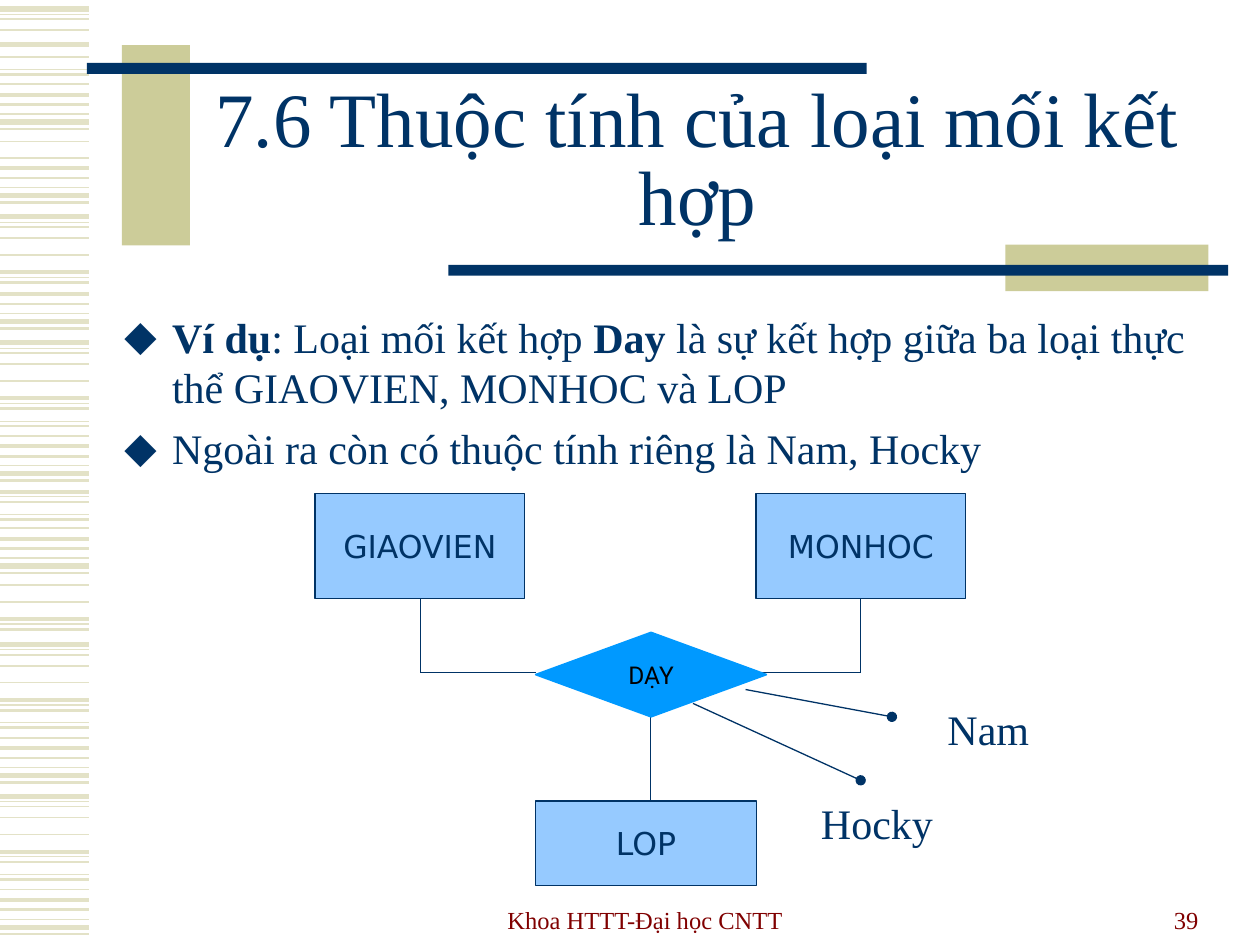
from lxml import etree
from pptx import Presentation
from pptx.dml.color import RGBColor
from pptx.enum import shapes, text
from pptx.oxml import ns
from pptx.util import Cm, Pt

THEME = {
    "navy": "003366", "khaki": "CCCC99", "stripe": "E3E2C7", "maroon": "800000",
    "entity": "96CAFF", "relation": "0099FF", "black": "000000",
    "serif": "Times New Roman", "sans": "DejaVu Sans", "label": "Roboto",
    "title": 44, "body": 24, "entity_size": 18, "small": 14,
}
CENTER, RIGHT = text.PP_ALIGN.CENTER, text.PP_ALIGN.RIGHT
MIDDLE, BOTTOM = text.MSO_ANCHOR.MIDDLE, text.MSO_ANCHOR.BOTTOM
FIT = text.MSO_AUTO_SIZE.SHAPE_TO_FIT_TEXT
RECT, DECISION = shapes.MSO_SHAPE.RECTANGLE, shapes.MSO_SHAPE.FLOWCHART_DECISION

TITLE = "7.6 Thuộc tính của loại mối kết hợp"
BULLETS = [
    [("Ví dụ", True), (": Loại mối kết hợp ", False), ("Day ", True),
     ("là sự kết hợp giữa ba loại thực thể GIAOVIEN, MONHOC và LOP", False)],
    [("Ngoài ra còn có thuộc tính riêng là Nam, Hocky", False)],
]
FOOTERS = [
    ("Khoa HTTT-Đại học CNTT", (8.71, 17.7, 8.59, 1.27), CENTER),
    ("39", (18.31, 17.7, 6.1, 1.27), RIGHT),
]
ENTITIES = [
    ("GIAOVIEN", (6.35, 9.95, 4.23, 2.12)),
    ("MONHOC", (15.24, 9.95, 4.23, 2.12)),
    ("LOP", (10.8, 16.15, 4.45, 1.7)),
]
RELATION = ("DẠY", (10.8, 12.75, 4.65, 1.7))
ATTRIBUTES = [
    ("Hocky", (16.3, 15.95, 2.77, 1.27), (13.97, 14.18, 17.35, 15.73)),
    ("Nam", (18.85, 14.05, 2.16, 1.27), (15.03, 13.9, 17.98, 14.45)),
]
LINKS = [
    (8.47, 12.07, 8.47, 13.55), (8.47, 13.55, 10.8, 13.55),
    (17.35, 12.07, 17.35, 13.55), (15.03, 13.55, 17.35, 13.55),
    (13.11, 14.45, 13.11, 16.15),
]
BARS = [
    ("khaki", (2.46, 0.91, 1.37, 4.04)), ("navy", (1.75, 1.27, 15.72, 0.22)),
    ("khaki", (20.27, 4.93, 4.09, 0.94)), ("navy", (9.04, 5.34, 15.72, 0.22)),
]
STRIPE_WIDTH = 1.8
LONG = [(0, 3), (0.11, 0.75), (0.21, 1), (0.43, 1), (0.77, 1), (1.12, 2.25),
        (1.22, 0.75), (1.33, 1.5), (1.58, 0.75), (1.68, 1.5)]
SHORT = [(0, 1), (0.21, 2.25), (0.41, 1.5), (0.6, 0.75), (0.76, 3), (0.9, 1.5)]
STRIPES = [
    (-0.18, LONG[7:]), (0.18, LONG[:4]), (2.08, LONG[4:5]), (4.37, LONG[:8]),
    (6.91, LONG), (8.79, LONG[5:]), (11.36, LONG[3:8]), (12.99, LONG), (16.05, LONG),
    (0.13, SHORT[4:5]), (1.7, SHORT), (3.18, SHORT), (5.72, SHORT[1:]),
    (8.79, SHORT), (10.65, SHORT), (14.87, SHORT), (17.93, SHORT),
]


def color(name):
    return RGBColor.from_string(THEME[name])


def apply(target, values):
    for name, value in values.items():
        setattr(target, name, value)


def add_line(page, ends, tint="navy", width=0.75, tail=None):
    line = page.shapes.add_connector(
        shapes.MSO_CONNECTOR.STRAIGHT, *(Cm(value) for value in ends))
    line.line.color.rgb = color(tint)
    line.line.width = Pt(width)
    properties = line.element.spPr
    if tail:
        stroke = properties.find(ns.qn("a:ln"))
        etree.SubElement(stroke, ns.qn("a:tailEnd")).set("type", tail)
    etree.SubElement(properties, ns.qn("a:effectLst"))


def add_block(page, kind, place, fill, outline=None, width=0.75):
    block = page.shapes.add_shape(kind, *(Cm(value) for value in place))
    block.shadow.inherit = False
    block.fill.solid()
    block.fill.fore_color.rgb = color(fill)
    if outline:
        block.line.color.rgb = color(outline)
        block.line.width = Pt(width)
    else:
        block.line.fill.background()
    return block


def add_box(page, place):
    return page.shapes.add_textbox(*(Cm(value) for value in place))


def add_span(para, words, size, font="serif", tint="navy", bold=False):
    span = para.add_run()
    span.text = words
    apply(span.font, {"size": Pt(THEME[size]), "name": THEME[font], "bold": bold})
    span.font.color.rgb = color(tint)


def write(box, words, size, frame, layout, **style):
    apply(box.text_frame, frame)
    para = box.text_frame.paragraphs[0]
    apply(para, layout)
    add_span(para, words, size, **style)


def add_bullet(para):
    properties = para._p.get_or_add_pPr()
    properties.set("marL", str(Cm(0.96)))
    properties.set("indent", str(-Cm(0.96)))
    tint = etree.SubElement(properties, ns.qn("a:buClr"))
    etree.SubElement(tint, ns.qn("a:srgbClr")).set("val", THEME["navy"])
    etree.SubElement(properties, ns.qn("a:buFont")).set("typeface", THEME["sans"])
    etree.SubElement(properties, ns.qn("a:buChar")).set("char", "◆")


def add_background(page):
    for start, pattern in STRIPES:
        for offset, width in pattern:
            top = start + offset
            add_line(page, (0, top, STRIPE_WIDTH, top), "stripe", width)
    for fill, place in BARS:
        add_block(page, RECT, place, fill)


def add_text(page):
    write(add_box(page, (3.81, 1.7, 20.5, 3.18)), TITLE, "title",
          {"word_wrap": True, "vertical_anchor": MIDDLE},
          {"alignment": CENTER, "line_spacing": 0.85})
    frame = add_box(page, (2.26, 6.15, 22.1, 10.77)).text_frame
    frame.word_wrap = True
    for index, spans in enumerate(BULLETS):
        para = frame.add_paragraph() if index else frame.paragraphs[0]
        para.space_before = Pt(6 if index else 0)
        add_bullet(para)
        for words, bold in spans:
            add_span(para, words, "body", bold=bold)
    for words, place, side in FOOTERS:
        write(add_box(page, place), words, "small",
              {"word_wrap": True, "vertical_anchor": BOTTOM},
              {"alignment": side}, tint="maroon")


def add_diagram(page):
    for words, place, ends in ATTRIBUTES:
        add_line(page, ends, tail="oval")
        write(add_box(page, place), words, "body",
              {"word_wrap": False, "auto_size": FIT}, {})
    for ends in LINKS:
        add_line(page, ends)
    centered = {"alignment": CENTER}
    for words, place in ENTITIES:
        write(add_block(page, RECT, place, "entity", "navy"), words, "entity_size",
              {"word_wrap": False, "vertical_anchor": MIDDLE}, centered, font="sans")
    words, place = RELATION
    write(add_block(page, DECISION, place, "relation", "relation", 1), words, "small",
          {"word_wrap": True, "vertical_anchor": MIDDLE}, centered,
          font="label", tint="black")


def main():
    deck = Presentation()
    apply(deck, {"slide_width": Cm(25.4), "slide_height": Cm(19.05)})
    page = deck.slides.add_slide(deck.slide_layouts[6])
    add_background(page)
    add_text(page)
    add_diagram(page)
    deck.save("out.pptx")


if __name__ == "__main__":
    main()
